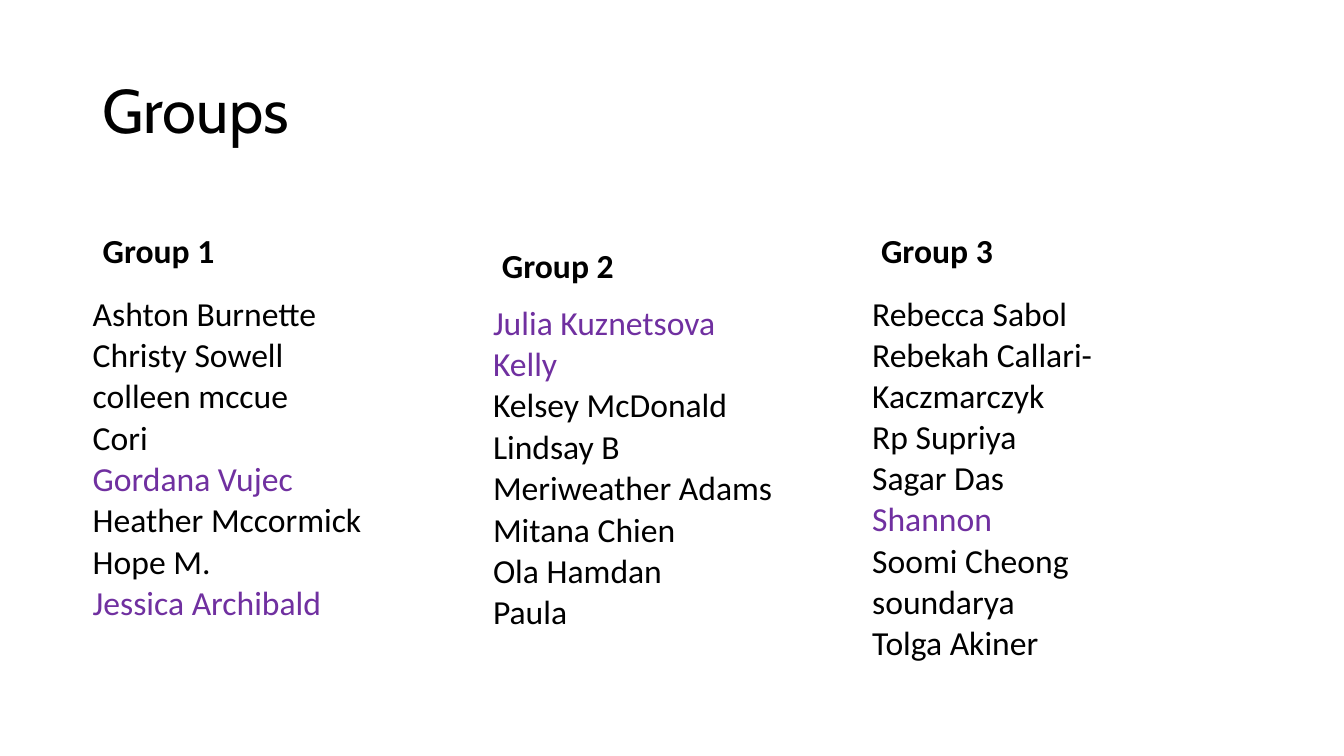
from pptx import Presentation
from pptx import util as u
from pptx.dml.color import RGBColor
from pptx.enum import text

BLACK = RGBColor(0x00, 0x00, 0x00)
PURPLE = RGBColor(0x70, 0x30, 0xA0)
ROSTER_WIDTH = 3.33
ROW_HEIGHT = 0.41
HIGHLIGHTED = {"Gordana Vujec", "Jessica Archibald", "Julia Kuznetsova", "Kelly", "Shannon"}

GROUPS = [
    ("Group 1", (0.92, 1.84, 2.77, 0.9), (0.91, 2.91),
     ["Ashton Burnette", "Christy Sowell", "colleen mccue", "Cori",
      "Gordana Vujec", "Heather Mccormick", "Hope M.", "Jessica Archibald"]),
    ("Group 2", (4.88, 1.98, 2.02, 0.9), (4.88, 3),
     ["Julia Kuznetsova", "Kelly", "Kelsey McDonald", "Lindsay B",
      "Meriweather Adams", "Mitana Chien", "Ola Hamdan", "Paula"]),
    ("Group 3", (8.64, 1.84, 2.02, 0.9), (8.64, 2.91),
     ["Rebecca Sabol", "Rebekah Callari-Kaczmarczyk", "Rp Supriya", "Sagar Das",
      "Shannon", "Soomi Cheong", "soundarya", "Tolga Akiner"]),
]


def style(paragraph, size, font="Calibri", color=BLACK, bold=False):
    """Left-align a paragraph and set its font."""
    paragraph.alignment = text.PP_ALIGN.LEFT
    paragraph.font.name = font
    paragraph.font.size = u.Pt(size)
    paragraph.font.bold = bold
    paragraph.font.color.rgb = color


def place_title(slide, wording, box):
    """Move and format the title placeholder."""
    title = slide.shapes.title
    title.left, title.top, title.width, title.height = map(u.Inches, box)
    title.text_frame.text = wording
    title.text_frame.vertical_anchor = text.MSO_ANCHOR.MIDDLE
    paragraph = title.text_frame.paragraphs[0]
    paragraph.line_spacing = 0.9
    style(paragraph, 44, font="Cabin")


def add_heading(slide, wording, box):
    """Add a bold group heading resting on the bottom of its box."""
    frame = slide.shapes.add_textbox(*map(u.Inches, box)).text_frame
    frame.word_wrap = True
    frame.vertical_anchor = text.MSO_ANCHOR.BOTTOM
    frame.text = wording
    paragraph = frame.paragraphs[0]
    paragraph.line_spacing = 0.9
    paragraph.space_before = u.Pt(10)
    style(paragraph, 24, bold=True)


def add_roster(slide, members, corner):
    """Add a plain one-column table of members, highlighting some in purple."""
    box = (*corner, ROSTER_WIDTH, ROW_HEIGHT * len(members))
    roster = slide.shapes.add_table(len(members), 1, *map(u.Inches, box)).table
    roster.first_row = roster.horz_banding = False
    for row, member in enumerate(members):
        cell = roster.cell(row, 0)
        cell.fill.background()
        cell.vertical_anchor = text.MSO_ANCHOR.BOTTOM
        cell.margin_left = cell.margin_right = cell.margin_top = u.Inches(0.01)
        cell.margin_bottom = 0
        cell.text = member
        style(cell.text_frame.paragraphs[0], 24,
              color=PURPLE if member in HIGHLIGHTED else BLACK)


def build_groups_slide(deck):
    """Build the slide listing the three groups."""
    slide = deck.slides.add_slide(deck.slide_layouts.get_by_name("Title Only"))
    place_title(slide, "Groups", (0.92, 0.4, 11.5, 1.45))
    for heading, heading_box, roster_corner, members in GROUPS:
        add_heading(slide, heading, heading_box)
        add_roster(slide, members, roster_corner)


deck = Presentation()
deck.slide_width, deck.slide_height = u.Inches(13.33), u.Inches(7.5)
build_groups_slide(deck)
deck.save("out.pptx")
